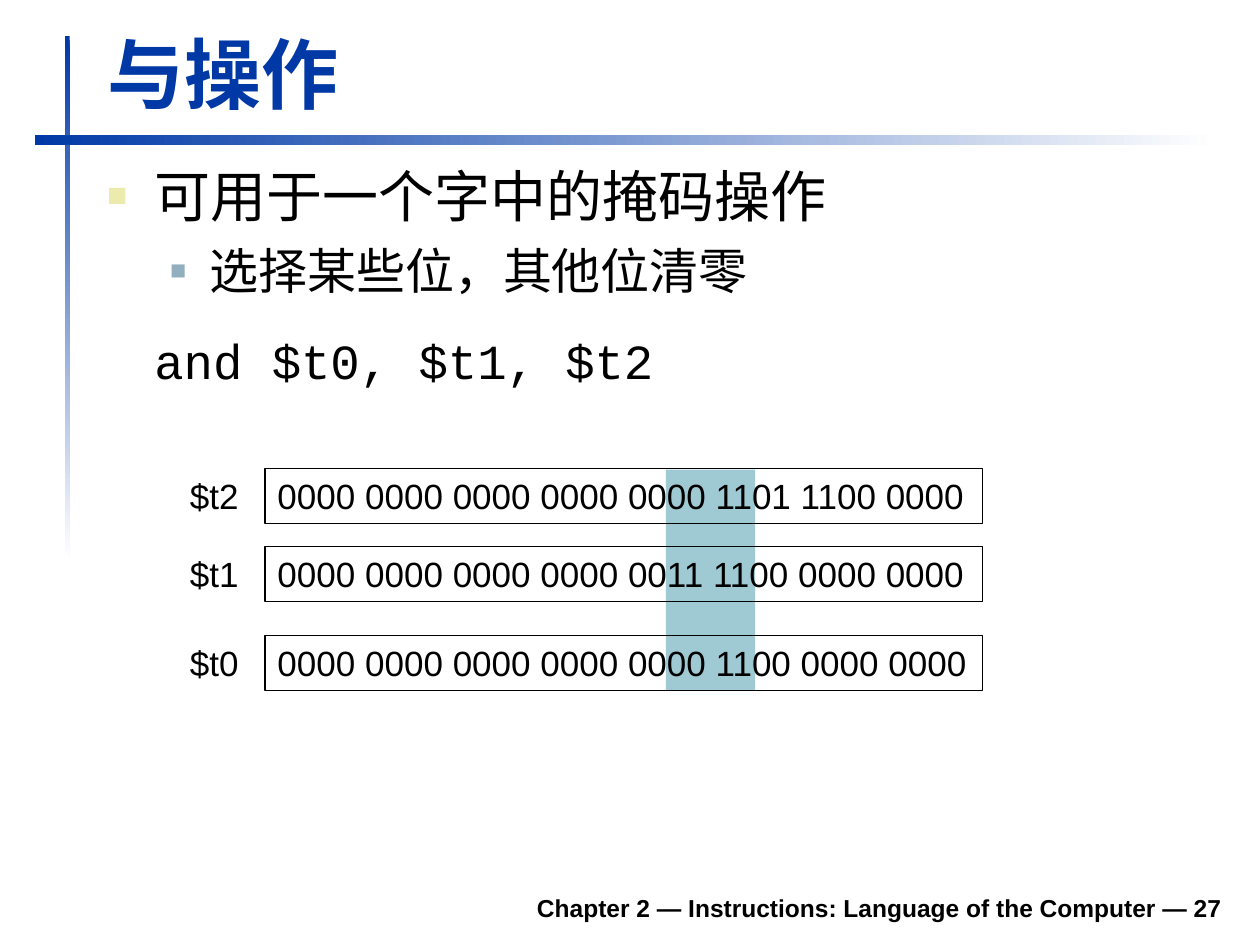
from lxml import etree
from pptx import Presentation
from pptx.dml.color import RGBColor
from pptx.enum.shapes import MSO_SHAPE
from pptx.enum.text import MSO_ANCHOR, MSO_AUTO_SIZE, PP_ALIGN
from pptx.oxml.ns import qn
from pptx.util import Pt

RECTANGLE = MSO_SHAPE.RECTANGLE
TOP, BOTTOM = MSO_ANCHOR.TOP, MSO_ANCHOR.BOTTOM
LEFT, RIGHT = PP_ALIGN.LEFT, PP_ALIGN.RIGHT
NO_FIT, GROW = MSO_AUTO_SIZE.NONE, MSO_AUTO_SIZE.SHAPE_TO_FIT_TEXT

BLUE, WHITE, BLACK = "0039A6", "FFFFFF", "000000"
BAND, YELLOW, GREY_BLUE = "9FCAD3", "ECEAAC", "91AFBF"


def color(hex_string):
    return RGBColor.from_string(hex_string)


def place(shape, left, top, width, height):
    shape.left, shape.top = Pt(left), Pt(top)
    shape.width, shape.height = Pt(width), Pt(height)


def format_paragraph(paragraph, size, font="Arial", fill=BLACK, bold=False, align=LEFT):
    paragraph.alignment = align
    for run in paragraph.runs:
        run.font.size = Pt(size)
        run.font.name = font
        run.font.bold = bold
        run.font.color.rgb = color(fill)


def set_bullet(paragraph, margin, indent, bullet=None):
    properties = paragraph._p.get_or_add_pPr()
    properties.set("marL", str(Pt(margin)))
    properties.set("indent", str(Pt(indent)))
    if bullet is None:
        etree.SubElement(properties, qn("a:buNone"))
        return
    bullet_color, percent = bullet
    fill = etree.SubElement(properties, qn("a:buClr"))
    etree.SubElement(fill, qn("a:srgbClr"), val=bullet_color)
    etree.SubElement(properties, qn("a:buSzPct"), val=str(percent * 1000))
    etree.SubElement(properties, qn("a:buFont"), typeface="Arial")
    etree.SubElement(properties, qn("a:buChar"), char="■")


def add_rectangle(slide, left, top, width, height):
    shape = slide.shapes.add_shape(RECTANGLE, Pt(left), Pt(top), Pt(width), Pt(height))
    shape.shadow.inherit = False
    shape.line.fill.background()
    return shape


def add_gradient_rule(slide, left, top, width, height, angle):
    rule = add_rectangle(slide, left, top, width, height)
    rule.fill.gradient()
    rule.fill.gradient_angle = angle
    for stop, position, stop_color in zip(rule.fill.gradient_stops, (0, 1), (BLUE, WHITE)):
        stop.position = position
        stop.color.rgb = color(stop_color)


def add_rules(slide, left, top, width, height):
    add_gradient_rule(slide, left + 17, top, 2.8, height, 270)
    add_gradient_rule(slide, left, top + 57, width, 5.8, 0)


def add_title(slide, left, top, width, height):
    title = slide.shapes.title
    place(title, left, top, width, height)
    frame = title.text_frame
    frame.text = "与操作"
    frame.vertical_anchor = BOTTOM
    frame.auto_size = NO_FIT
    format_paragraph(frame.paragraphs[0], 44, fill=BLUE, bold=True)


def add_body(slide, left, top, width, height):
    body = slide.placeholders[1]
    place(body, left, top, width, height)
    frame = body.text_frame
    frame.text = "可用于一个字中的掩码操作\n选择某些位，其他位清零\nand $t0, $t1, $t2"
    frame.auto_size = NO_FIT
    topic, detail, code = frame.paragraphs

    format_paragraph(topic, 32)
    topic.space_before = Pt(8)
    set_bullet(topic, 27, -27, (YELLOW, 60))

    detail.level = 1
    format_paragraph(detail, 28)
    detail.space_before = Pt(7)
    set_bullet(detail, 58.5, -22.5, (GREY_BLUE, 55))

    format_paragraph(code, 28, font="Courier New")
    code.space_before, code.space_after = Pt(17.5), Pt(10.5)
    set_bullet(code, 27, 0)


def fill_register_text(shape, text):
    frame = shape.text_frame
    frame.text = text
    frame.word_wrap = False
    frame.auto_size = GROW
    frame.vertical_anchor = TOP
    format_paragraph(frame.paragraphs[0], 20)


def add_register(slide, left, top, width, height, name, bits):
    label = slide.shapes.add_textbox(Pt(left), Pt(top), Pt(42), Pt(height))
    fill_register_text(label, name)
    word = add_rectangle(slide, left + 50, top, width - 50, height)
    word.fill.background()
    word.line.color.rgb = color(BLACK)
    word.line.width = Pt(0.75)
    fill_register_text(word, bits)


def add_registers(slide, left, top, width, height):
    band = add_rectangle(slide, left + 279, top + 0.5, 51, height)
    band.fill.solid()
    band.fill.fore_color.rgb = color(BAND)
    registers = [
        (0, "$t2", "0000 0000 0000 0000 0000 1101 1100 0000"),
        (44.5, "$t1", "0000 0000 0000 0000 0011 1100 0000 0000"),
        (95.3, "$t0", "0000 0000 0000 0000 0000 1100 0000 0000"),
    ]
    for offset, name, bits in registers:
        add_register(slide, left, top + offset, width, 31.5, name, bits)


def add_footer(slide, left, top, width, height):
    footer = slide.shapes.add_textbox(Pt(left), Pt(top), Pt(width), Pt(height))
    frame = footer.text_frame
    frame.text = "Chapter 2 — Instructions: Language of the Computer — 27"
    frame.word_wrap = True
    frame.vertical_anchor = BOTTOM
    format_paragraph(frame.paragraphs[0], 14, bold=True, align=RIGHT)


def main():
    presentation = Presentation()
    presentation.slide_width, presentation.slide_height = Pt(720), Pt(540)
    slide = presentation.slides.add_slide(presentation.slide_layouts[1])
    add_rules(slide, 20, 20.3, 675, 300)
    add_title(slide, 54, 11.5, 650, 60)
    add_body(slide, 54, 88.5, 651, 163.5)
    add_registers(slide, 101.5, 267.8, 460, 126.5)
    add_footer(slide, 133, 502.5, 572.5, 28)
    presentation.save("out.pptx")


if __name__ == "__main__":
    main()
